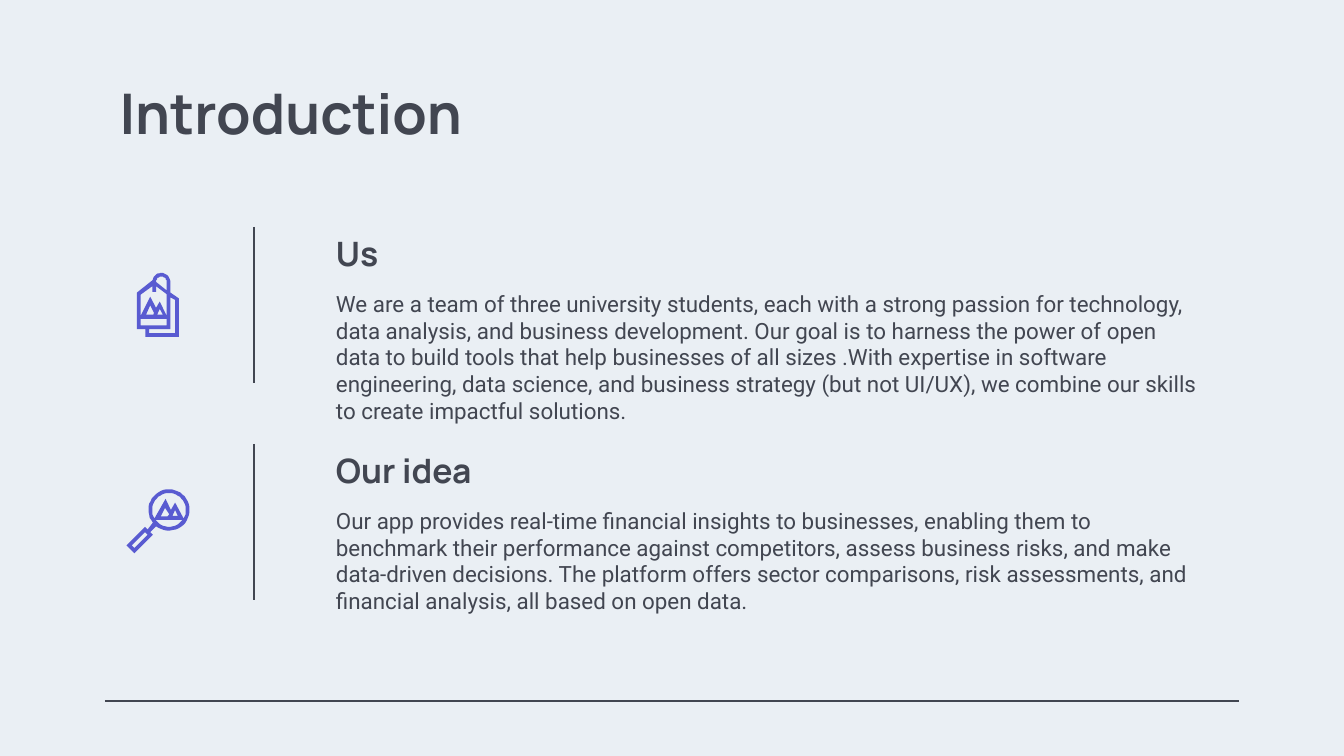
"""Build the Introduction slide with two topics, icons and rules."""
import math
from lxml import etree
from pptx import Presentation
from pptx import util as u
from pptx.dml.color import RGBColor
from pptx.enum import shapes, text
from pptx.oxml import ns

HUE = {"back": "EAEFF4", "ink": "424651", "icon": "595BD1"}
TOP, BASE = text.MSO_ANCHOR.TOP, text.MSO_ANCHOR.BOTTOM

deck = Presentation()
deck.slide_width, deck.slide_height = u.Cm(25.4), u.Cm(14.29)
slide = deck.slides.add_slide(deck.slide_layouts[6])
slide.background.fill.solid()
slide.background.fill.fore_color.rgb = RGBColor.from_string(HUE["back"])


def write(words, area, size, face, bold, anchor):
    """Place one paragraph in a text box."""
    frame = slide.shapes.add_textbox(*map(u.Cm, area)).text_frame
    frame.word_wrap = True
    frame.vertical_anchor = anchor
    frame.margin_top = frame.margin_bottom = u.Cm(0.25)
    frame.margin_left = frame.margin_right = u.Cm(0.25)
    para = frame.paragraphs[0]
    para.text = words
    para.font.size, para.font.name, para.font.bold = u.Pt(size), face, bold
    para.font.color.rgb = RGBColor.from_string(HUE["ink"])


def arc(x, y, r, start, end):
    """Return points on an arc, in hundredths of a centimetre."""
    count = max(8, (end - start) // 8)
    turns = [math.radians(start + (end - start) * i / count) for i in range(count + 1)]
    return [(x + r * math.cos(t), y + r * math.sin(t)) for t in turns]


tag = [
    arc(305, 533, 17, 190, 360) + [(322, 553), (338, 564), (338, 637), (275, 637),
                                   (275, 622), (259, 622), (259, 553)],
    [(288, 541), (288, 552), (295, 552), (295, 541), (315, 556), (315, 597),
     (302, 570), (295, 582), (284, 561), (266, 597), (266, 557)],
    [(290, 595), (276, 595), (284, 577), (291, 591)],
    [(302, 584), (308, 595), (297, 595)],
    [(266, 603), (315, 603), (315, 615), (266, 615)],
    [(331, 567), (331, 630), (282, 630), (282, 622), (322, 622), (322, 562)],
    arc(305, 533, 10, 180, 360) + [(315, 549), (295, 533)],
]
lens = [
    arc(319.5, 964, 39, 142, 488) + [(294, 996), (284, 1006), (289, 1011), (254, 1046),
                                     (239, 1031), (274, 996), (279, 1001)],
    [(254, 1036), (249, 1031), (274, 1006), (279, 1011)],
    arc(319.5, 964, 32, 36, 144),
    arc(319.5, 964, 32, 150, 390) + [(331, 950), (323, 964), (313, 943)],
    [(331, 964), (336, 975), (326, 975)],
    [(317, 976), (304, 976), (312, 960), (320, 972)],
]

write("Introduction", (2.01, 1.24, 21.41, 1.6), 30, "Manrope", True, TOP)

topics = [
    ("Us", "We are a team of three university students, each with a strong passion for "
     "technology, data analysis, and business development. Our goal is to harness the power "
     "of open data to build tools that help businesses of all sizes .With expertise in "
     "software engineering, data science, and business strategy (but not UI/UX), we combine "
     "our skills to create impactful solutions.", tag),
    ("Our idea", "Our app provides real-time financial insights to businesses, enabling them "
     "to benchmark their performance against competitors, assess business risks, and make "
     "data-driven decisions. The platform offers sector comparisons, risk assessments, and "
     "financial analysis, all based on open data.", lens),
]
rules = [(1.98, 13.25, 23.42, 13.25)]
for row, (head, body, icon) in enumerate(topics):
    y = 4.19 + 4.1 * row
    write(head, (6.1, y, 16.89, 1.22), 18, "Manrope", True, BASE)
    write(body, (6.1, y + 1.04, 16.89, 2.79), 12, "Roboto", False, TOP)
    rules.append((4.8, y + 0.1, 4.8, y + 3.05))

    pen = slide.shapes.build_freeform(*icon[0][0], scale=u.Cm(0.01))
    pen.add_line_segments(icon[0][1:], close=True)
    for hole in icon[1:]:
        pen.move_to(*hole[0])
        pen.add_line_segments(hole[1:], close=True)
    shape = pen.convert_to_shape()
    shape.shadow.inherit = False
    shape.fill.solid()
    shape.fill.fore_color.rgb = RGBColor.from_string(HUE["icon"])
    shape.line.fill.background()

for ends in rules:
    rule = slide.shapes.add_connector(shapes.MSO_CONNECTOR.STRAIGHT, *map(u.Cm, ends))
    rule.line.width = u.Pt(0.75)
    rule.line.color.rgb = RGBColor.from_string(HUE["ink"])
    etree.SubElement(rule._element.spPr, ns.qn("a:effectLst"))

deck.save("out.pptx")
